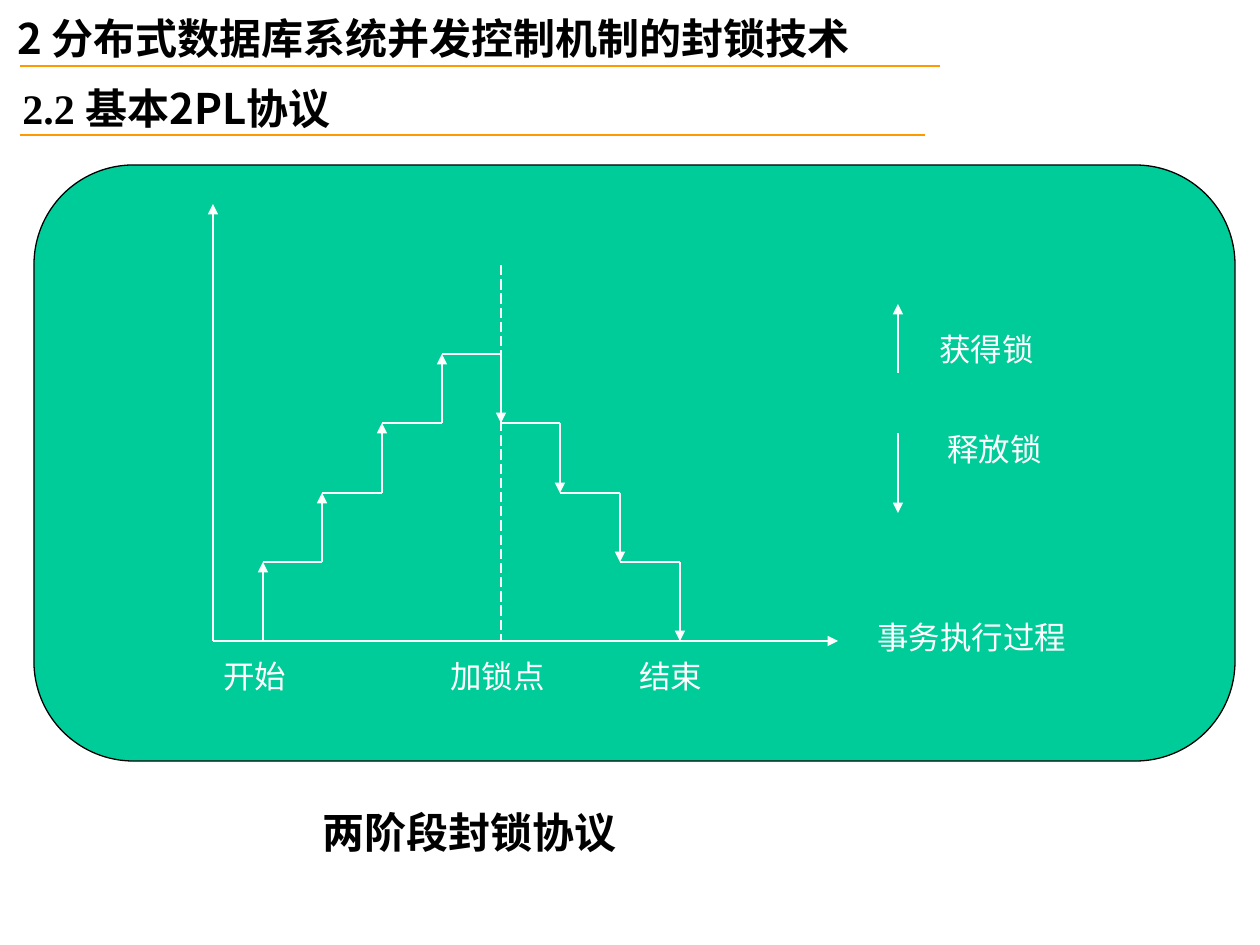
from lxml import etree
from pptx import Presentation
from pptx.dml.color import RGBColor
from pptx.enum.dml import MSO_LINE
from pptx.enum.shapes import MSO_CONNECTOR, MSO_SHAPE
from pptx.enum.text import MSO_ANCHOR, MSO_AUTO_SIZE, PP_ALIGN
from pptx.oxml.ns import qn
from pptx.util import Pt

STRAIGHT = MSO_CONNECTOR.STRAIGHT
ROUNDED = MSO_SHAPE.ROUNDED_RECTANGLE
LONG_DASH = MSO_LINE.LONG_DASH
FIT_SHAPE = MSO_AUTO_SIZE.SHAPE_TO_FIT_TEXT
TOP = MSO_ANCHOR.TOP
LEFT = PP_ALIGN.LEFT

PX = 914400 / 126
COLORS = {"panel": "00CC99", "ink": "000000", "chalk": "FFFFFF", "rule": "FF9900"}
CJK = "Noto Sans CJK SC"

prs = Presentation()
prs.slide_width = round(1260 * PX)
prs.slide_height = round(945 * PX)
slide = prs.slides.add_slide(prs.slide_layouts[5])


def add_line(x1, y1, x2, y2, color="chalk", width=1.5, arrow=False):
    line = slide.shapes.add_connector(STRAIGHT, *(round(v * PX) for v in (x1, y1, x2, y2)))
    line.line.color.rgb = RGBColor.from_string(COLORS[color])
    line.line.width = Pt(width)
    properties = line._element.spPr
    if arrow:
        etree.SubElement(properties.get_or_add_ln(), qn("a:tailEnd"), type="triangle")
    etree.SubElement(properties, qn("a:effectLst"))
    return line


def write(box, place, runs, size, color, bold=False, wrap=False):
    box.left, box.top, box.width, box.height = (round(v * PX) for v in place)
    frame = box.text_frame
    frame.word_wrap = wrap
    frame.auto_size = FIT_SHAPE
    frame.vertical_anchor = TOP
    paragraph = frame.paragraphs[0]
    paragraph.alignment = LEFT
    for text, font_name in runs:
        run = paragraph.add_run()
        run.text = text
        run.font.name = font_name
        run.font.size = Pt(size)
        run.font.bold = bold
        run.font.color.rgb = RGBColor.from_string(COLORS[color])
        etree.SubElement(run.font._element, qn("a:ea"), typeface=CJK)


write(slide.shapes.title, (5, 6, 1007, 63),
      [("2 分布式数据库系统并发控制机制的封锁技术", CJK)], 24, "ink", True, True)
add_line(20, 66, 940, 66, "rule")

subheading = slide.shapes.add_textbox(0, 0, 0, 0)
write(subheading, (10, 76, 1007, 63),
      [("2.2 ", "Times New Roman"), ("基本2PL协议", CJK)], 24, "ink", True, True)
add_line(20, 135, 925, 135, "rule")

panel = slide.shapes.add_shape(ROUNDED, *(round(v * PX) for v in (34, 165, 1201, 596)))
panel.adjustments[0] = 0.167
panel.shadow.inherit = False
panel.fill.solid()
panel.fill.fore_color.rgb = RGBColor.from_string(COLORS["panel"])
panel.line.color.rgb = RGBColor.from_string(COLORS["ink"])
panel.line.width = Pt(0.75)

BASE = 641
add_line(213, BASE, 838, BASE, arrow=True)
add_line(213, BASE, 213, 204, arrow=True)

climb = [BASE, 562, 493, 423]
levels = climb + [354] + climb[::-1]
step_x = [round(263 + 59.5 * i) for i in range(len(levels) - 1)]
for i, x in enumerate(step_x):
    add_line(x, levels[i], x, levels[i + 1], arrow=True)
for x, next_x, level in zip(step_x, step_x[1:], levels[1:]):
    add_line(x, level, next_x, level)

lock_point = add_line(501, 265, 501, BASE, width=0.75)
lock_point.line.dash_style = LONG_DASH

add_line(898, 373, 898, 304, arrow=True)
add_line(898, 433, 898, 513, arrow=True)

labels = [
    ("开始", 211, 651, 88),
    ("加锁点", 438, 651, 120),
    ("结束", 627, 651, 88),
    ("事务执行过程", 865, 612, 214),
    ("获得锁", 927, 324, 120),
    ("释放锁", 935, 424, 120),
]
for text, x, y, width in labels:
    write(slide.shapes.add_textbox(0, 0, 0, 0), (x, y, width, 50),
          [(text, "Arial")], 18, "chalk")

caption = slide.shapes.add_textbox(0, 0, 0, 0)
write(caption, (310, 800, 319, 63), [("两阶段封锁协议", "Arial")], 24, "ink", True)

prs.save("out.pptx")
